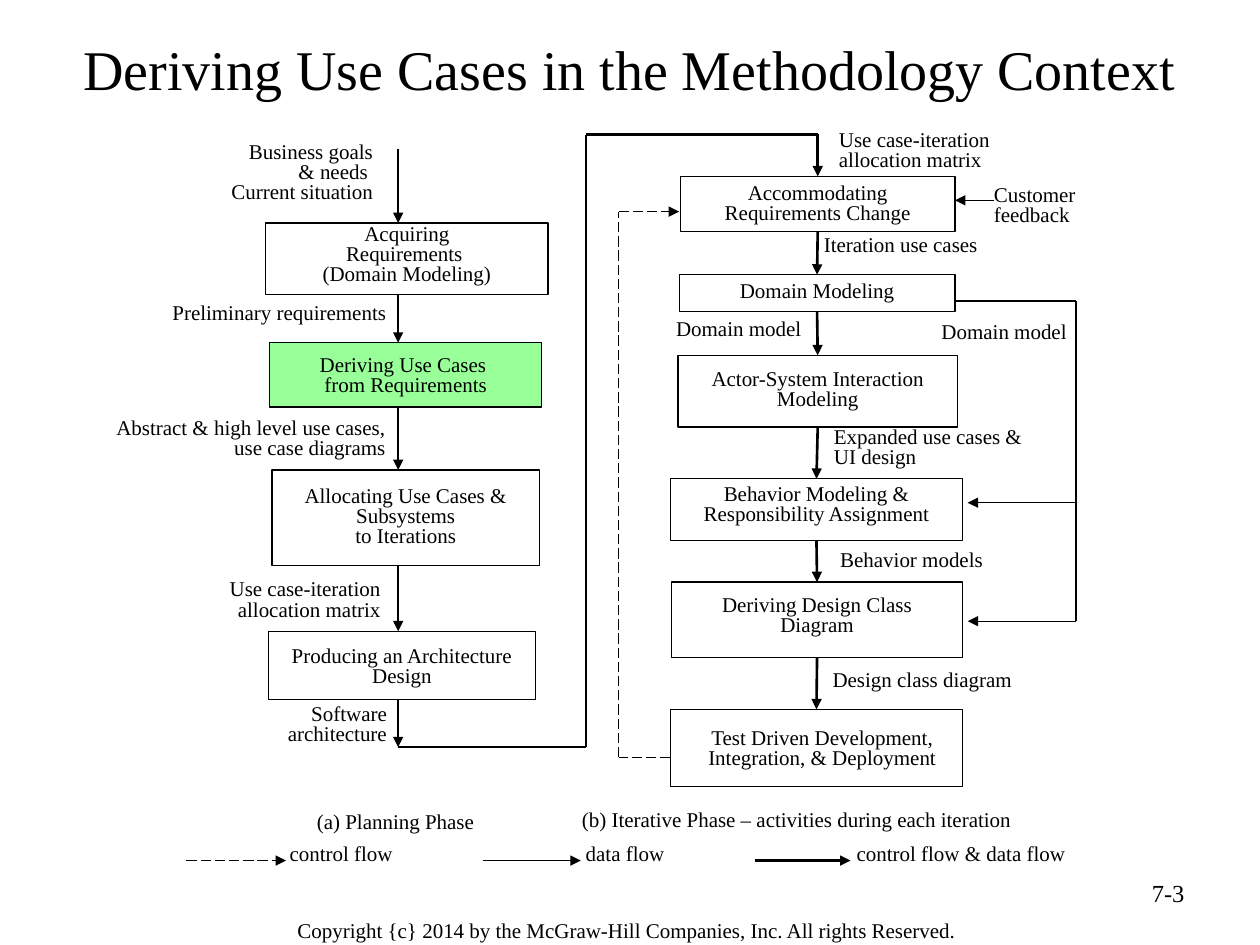
from itertools import pairwise

from lxml.etree import SubElement
from pptx import Presentation
from pptx.dml.color import RGBColor
from pptx.enum.dml import MSO_LINE
from pptx.enum.shapes import MSO_CONNECTOR, MSO_SHAPE
from pptx.enum.text import MSO_ANCHOR, MSO_AUTO_SIZE, PP_ALIGN
from pptx.oxml.ns import qn
from pptx.util import Pt

SCALE = 9144
FONT, BLACK, WHITE, GREEN = "Times New Roman", "000000", "FFFFFF", "99FF99"
LEFT, CENTER, RIGHT = PP_ALIGN.LEFT, PP_ALIGN.CENTER, PP_ALIGN.RIGHT
TOP, BOTTOM = 0, 2
CONTROL, DATA, BOTH = (0.75, True), (0.75, False), (1.5, False)
SPINE = 316

PLANNING = [
    ("Acquiring\nRequirements \n(Domain Modeling)", 211, 177, 224, 57, 2, WHITE),
    ("Deriving Use Cases \nfrom Requirements", 214, 272, 216, 51, 11, GREEN),
    ("Allocating Use Cases & Subsystems\nto Iterations", 216, 373, 212, 76, 14, WHITE),
    ("Producing an Architecture Design", 213, 501, 212, 54, 13, WHITE),
]
ITERATIVE = [
    ("Accommodating\nRequirements Change", 540, 140, 218, 44, 6, WHITE),
    ("Domain Modeling", 539, 218, 219, 29, 6, WHITE),
    ("Actor-System Interaction Modeling", 538, 282, 222, 57, 12, WHITE),
    ("Behavior Modeling &\nResponsibility Assignment", 532, 380, 232, 49, 5, WHITE),
    ("Deriving Design Class\nDiagram", 533, 462, 231, 60, 11, WHITE),
    ("Test Driven Development, Integration, & Deployment", 532, 563, 232, 61, 16, WHITE, 19),
]
LABELS = [
    ("Business goals\n& needs \nCurrent situation", 138, 109, 168, 76, RIGHT),
    ("Preliminary requirements", 127, 237, 194, 32, LEFT),
    ("Abstract & high level use cases, use case diagrams", 72, 328, 244, 53, RIGHT),
    ("Use case-iteration allocation matrix", 115, 456, 197, 55, RIGHT),
    ("Software architecture", 182, 555, 135, 53, RIGHT),
    ("Use case-iteration allocation matrix", 656, 99, 201, 55, LEFT),
    ("Customer\nfeedback", 779, 143, 118, 61, LEFT),
    ("Iteration use cases", 644, 183, 202, 35, LEFT),
    ("Domain model", 496, 249, 150, 28, RIGHT),
    ("Domain model", 722, 252, 150, 28, CENTER),
    ("Expanded use cases & UI design", 652, 335, 189, 54, LEFT),
    ("Behavior models", 657, 433, 140, 31, LEFT),
    ("Design class diagram", 651, 528, 257, 35, LEFT),
    ("(a) Planning Phase", 201, 641, 226, 35, CENTER),
    ("(b) Iterative Phase – activities during each iteration", 452, 639, 465, 35, LEFT),
]
LEGEND = [
    ("control flow", CONTROL, 148, 227, 220, 159),
    ("data flow", DATA, 383, 461, 455, 145),
    ("control flow & data flow", BOTH, 599, 675, 670, 255),
]


def px(*values):
    """Turn px lengths into EMU."""
    return [value * SCALE for value in values]


def color(hex_code):
    """Return the colour for a hex string."""
    return RGBColor.from_string(hex_code)


def write(tf, text, align, size=12, spacing=0.8):
    """Fill a text frame with one paragraph per line of text."""
    tf.word_wrap = True
    tf.auto_size = MSO_AUTO_SIZE.NONE
    tf.text = text
    for p in tf.paragraphs:
        p.alignment = align
        p.line_spacing = spacing
        p.font.size = Pt(size)
        p.font.name = FONT
        p.font.color.rgb = color(BLACK)


def add_label(s, text, x, y, w, h, align, size=12, spacing=0.8):
    """Add a free-standing text box."""
    tf = s.shapes.add_textbox(*px(x, y, w, h)).text_frame
    write(tf, text, align, size, spacing)


def add_step(s, text, x, y, w, h, inset_top, fill, inset_left=10):
    """Add an outlined process box with its text inside."""
    sp = s.shapes.add_shape(MSO_SHAPE.RECTANGLE, *px(x, y, w, h))
    sp.shadow.inherit = False
    sp.fill.solid()
    sp.fill.fore_color.rgb = color(fill)
    sp.line.color.rgb = color(BLACK)
    sp.line.width = Pt(0.75)
    tf = sp.text_frame
    write(tf, text, CENTER)
    tf.vertical_anchor = MSO_ANCHOR.TOP
    tf.margin_left, tf.margin_top, tf.margin_right, tf.margin_bottom = px(
        inset_left, inset_top, 10, 0)
    return sp


def add_line(s, start, end, flow, arrow=True):
    """Add a straight connector in the style of its flow."""
    width, dashed = flow
    line = s.shapes.add_connector(MSO_CONNECTOR.STRAIGHT, *px(*start, *end))
    line.line.color.rgb = color(BLACK)
    line.line.width = Pt(width)
    if dashed:
        line.line.dash_style = MSO_LINE.LONG_DASH
    if arrow:
        SubElement(line.line._get_or_add_ln(), qn("a:tailEnd"), type="triangle")
    SubElement(line._element.spPr, qn("a:effectLst"))
    return line


def add_route(s, points, flow, arrow=True):
    """Add a path of connectors whose last one may carry an arrowhead."""
    for start, end in pairwise(points):
        add_line(s, start, end, flow, arrow and end == points[-1])


def add_planning_phase(s):
    """Draw the planning steps with the arrows between them."""
    for step in PLANNING:
        add_step(s, *step)
    tops = [step[2] for step in PLANNING] + [593]
    bottoms = [118] + [step[2] + step[4] for step in PLANNING]
    for start, end in zip(bottoms, tops):
        add_line(s, (SPINE, start), (SPINE, end), BOTH)


def add_iterative_phase(s):
    """Draw the iterative steps with the flows around them."""
    steps = [add_step(s, *step) for step in ITERATIVE]
    for upper, lower in pairwise(steps):
        line = add_line(s, (649, 0), (649, 0), BOTH)
        line.begin_connect(upper, BOTTOM)
        line.end_connect(lower, TOP)
    add_route(s, [(SPINE, 593), (465, 593), (465, 107), (649, 107)], BOTH, False)
    entry = add_line(s, (649, 106), (649, 140), BOTH)
    entry.end_connect(steps[0], TOP)
    add_route(s, [(532, 601), (491, 601), (491, 168), (539, 168)], CONTROL)
    add_route(s, [(758, 239), (854, 239), (854, 493), (768, 493)], DATA)
    add_line(s, (854, 399), (768, 399), DATA)
    add_line(s, (789, 159), (758, 159), DATA)


def main():
    """Build and save the slide."""
    prs = Presentation()
    prs.slide_width, prs.slide_height = px(1000, 750)
    s = prs.slides.add_slide(prs.slide_layouts[5])
    title = s.shapes.title
    title.left, title.top, title.width, title.height = px(50, 17, 900, 74)
    write(title.text_frame, "Deriving Use Cases in the Methodology Context", CENTER, 32, 1.0)
    title.text_frame.vertical_anchor = MSO_ANCHOR.MIDDLE
    add_planning_phase(s)
    add_iterative_phase(s)
    for label in LABELS:
        add_label(s, *label)
    for text, flow, start, end, x, w in LEGEND:
        add_line(s, (start, 683), (end, 683), flow)
        add_label(s, text, x, 666, w, 35, LEFT)
    add_label(s, "7-3", 717, 692, 233, 52, RIGHT, 14, 1.0)
    add_label(s, "Copyright {c} 2014 by the McGraw-Hill Companies, Inc. All rights Reserved.",
              188, 723, 619, 31, CENTER, 12, 1.0)
    prs.save("out.pptx")


if __name__ == "__main__":
    main()
